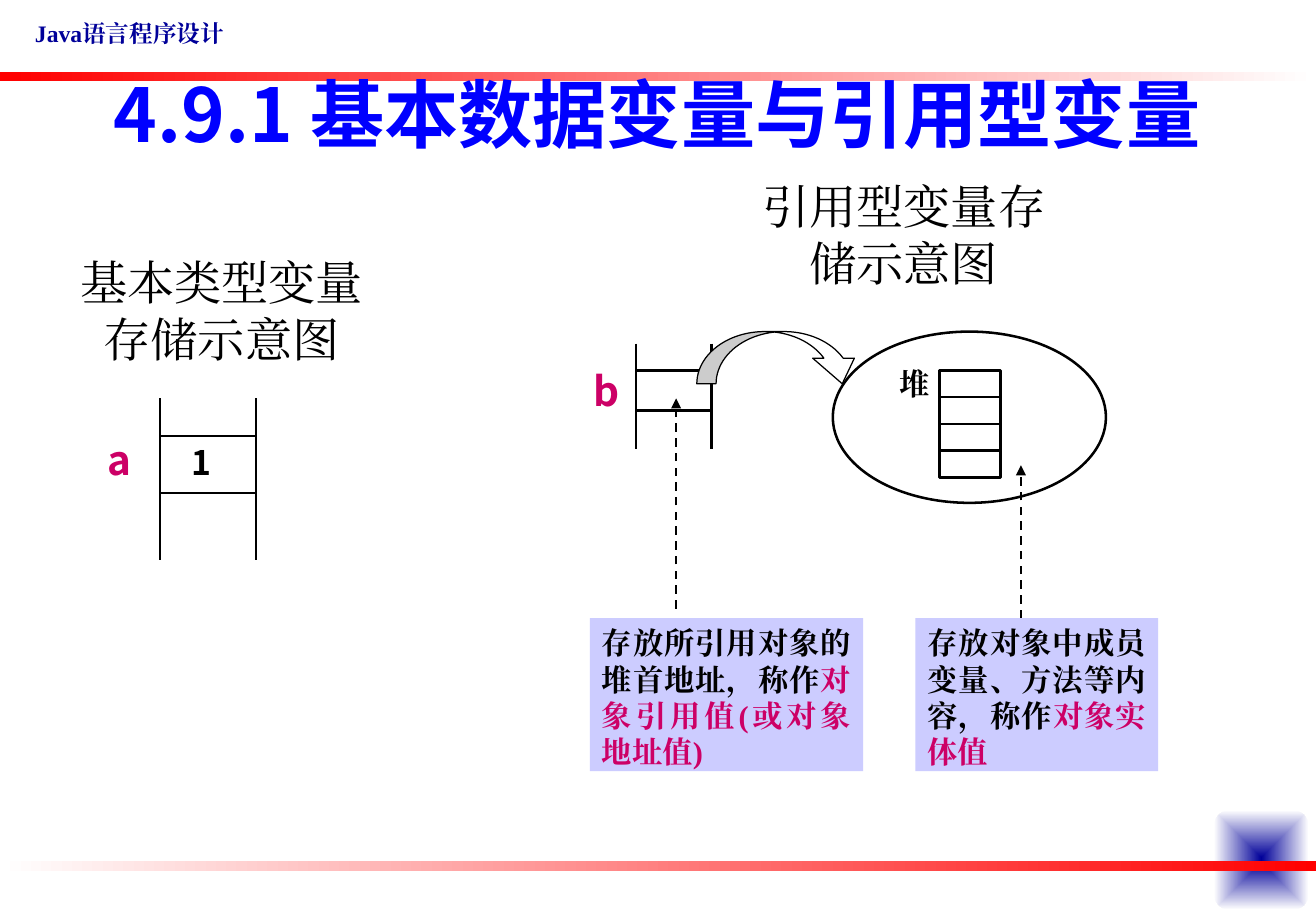
from dataclasses import dataclass

from lxml.etree import SubElement
from pptx import Presentation
from pptx.dml.color import RGBColor as Rgb
from pptx.enum.dml import MSO_LINE_DASH_STYLE as Dash
from pptx.enum.shapes import MSO_CONNECTOR as Conn, MSO_SHAPE as Kind
from pptx.enum.text import MSO_ANCHOR as Anchor, PP_ALIGN as Align
from pptx.oxml.ns import qn
from pptx.util import Emu, Pt

SCALE = 9144  # EMU per px, at 100 px to the inch


def px(n):
    return Emu(n * SCALE)


@dataclass(frozen=True)
class Theme:
    ink: str = "000000"
    paper: str = "FFFFFF"
    navy: str = "000099"
    blue: str = "0000FF"
    pink: str = "CC0066"
    red: str = "FF0000"
    lilac: str = "CCCCFF"
    serif: str = "Times New Roman"
    sans: str = "Noto Sans CJK SC"
    title: int = 44
    head: int = 28
    name: int = 24
    value: int = 20
    note: int = 18
    brand: int = 14
    thick: float = 1.5
    dashed: float = 1.25
    thin: float = 0.75


class Board:
    def __init__(self, slide, theme):
        self.slide = slide
        self.theme = theme

    def shape(self, kind, box, fill=None, line=None, width=None):
        item = self.slide.shapes.add_shape(kind, *map(px, box))
        item.shadow.inherit = False
        if fill:
            item.fill.solid()
            item.fill.fore_color.rgb = Rgb.from_string(fill)
        if line:
            item.line.color.rgb = Rgb.from_string(line)
            item.line.width = Pt(width)
        else:
            item.line.fill.background()
        return item

    def fade(self, kind, box, start, end, centre=False):
        """Shape with a two-colour gradient, left to right or from its centre."""
        item = self.shape(kind, box)
        item.fill.gradient()
        item.fill.gradient_angle = 0
        for stop, tint, place in zip(item.fill.gradient_stops, (start, end), (0, 1)):
            stop.color.rgb = Rgb.from_string(tint)
            stop.position = place
        if centre:
            grad = item._element.spPr.find(qn("a:gradFill"))
            grad.remove(grad.find(qn("a:lin")))
            core = SubElement(grad, qn("a:path"), {"path": "rect"})
            sides = dict.fromkeys("ltrb", "50000")
            SubElement(core, qn("a:fillToRect"), sides)
        return item

    def label(self, item, runs, size, font, bold=True, align=Align.LEFT,
              anchor=Anchor.TOP):
        """Fill a shape with one paragraph made of (text, colour) runs."""
        frame = item.text_frame
        frame.word_wrap = True
        frame.vertical_anchor = anchor
        para = frame.paragraphs[0]
        para.alignment = align
        for words, tint in runs:
            run = para.add_run()
            run.text = words
            run.font.size = Pt(size)
            run.font.bold = bold
            run.font.name = font
            run.font.color.rgb = Rgb.from_string(tint)
            SubElement(run.font._element, qn("a:ea"), {"typeface": font})

    def text(self, box, words, tint, size, font, **style):
        item = self.slide.shapes.add_textbox(*map(px, box))
        self.label(item, [(words, tint)], size, font, **style)

    def head(self, left, top, words):
        t = self.theme
        self.text((left, top, 291, 104), words, t.ink, t.head, t.serif,
                  bold=False, align=Align.CENTER)

    def note(self, box, plain, key):
        t = self.theme
        item = self.shape(Kind.RECTANGLE, box, t.lilac)
        self.label(item, [(plain, t.ink), (key, t.pink)], t.note, t.serif,
                   align=Align.JUSTIFY)

    def line(self, x1, y1, x2, y2, arrow=False):
        t = self.theme
        item = self.slide.shapes.add_connector(
            Conn.STRAIGHT, *map(px, (x1, y1, x2, y2)))
        item.line.color.rgb = Rgb.from_string(t.ink)
        item.line.width = Pt(t.dashed if arrow else t.thick)
        if arrow:
            item.line.dash_style = Dash.DASH
            edge = item._element.spPr.find(qn("a:ln"))
            SubElement(edge, qn("a:tailEnd"), {"type": "triangle"})
        SubElement(item._element.spPr, qn("a:effectLst"))

    def stack(self, left, right, top, base, rungs):
        """Two uprights joined by rungs: a slot in stack memory."""
        for x in (left, right):
            self.line(x, top, x, base)
        for y in rungs:
            self.line(left, y, right, y)


def frame(board):
    t = board.theme
    block = board.fade(Kind.ROUNDED_RECTANGLE, (1000, 667, 78, 82),
                       t.navy, t.paper, centre=True)
    block.adjustments[0] = 0.17
    board.text((19, 11, 220, 34), "Java语言程序设计", t.navy, t.brand, t.serif)
    board.fade(Kind.RECTANGLE, (0, 59, 1084, 8), t.red, t.paper)
    board.fade(Kind.RECTANGLE, (0, 709, 1084, 8), t.paper, t.red)
    board.text((54, 30, 975, 125), "4.9.1 基本数据变量与引用型变量", t.blue,
               t.title, t.sans, align=Align.CENTER, anchor=Anchor.MIDDLE)


def basic(board):
    t = board.theme
    board.head(37, 204, "基本类型变量存储示意图")
    board.stack(132, 211, 328, 461, (359, 406))
    board.text((79, 353, 37, 45), "a", t.pink, t.name, t.sans)
    board.text((148, 359, 37, 45), "1", t.ink, t.value, t.sans)


def refer(board):
    t = board.theme
    edge = (t.paper, t.ink, t.thick)
    board.head(599, 141, "引用型变量存储示意图")
    board.stack(524, 586, 283, 370, (305, 338))
    board.text((479, 296, 37, 45), "b", t.pink, t.name, t.sans)

    board.shape(Kind.OVAL, (686, 273, 225, 141), *edge)
    board.text((731, 296, 50, 43), "堆", t.ink, t.note, t.serif,
               align=Align.JUSTIFY)
    for row in range(4):
        board.shape(Kind.RECTANGLE, (774, 305 + 22 * row, 50, 22), *edge)

    bend = board.shape(Kind.CURVED_DOWN_ARROW, (574, 273, 137, 43),
                       t.paper, t.ink, t.thin)
    for i, value in enumerate((0.37, 0.8, 0.49)):
        bend.adjustments[i] = value

    board.line(557, 501, 557, 328, arrow=True)
    board.note((486, 509, 225, 126), "存放所引用对象的堆首地址，称作",
               "对象引用值(或对象地址值)")
    board.line(841, 509, 841, 383, arrow=True)
    board.note((754, 509, 200, 126), "存放对象中成员变量、方法等内容，称作",
               "对象实体值")


def main():
    deck = Presentation()
    deck.slide_width, deck.slide_height = px(1084), px(750)
    board = Board(deck.slides.add_slide(deck.slide_layouts[6]), Theme())
    frame(board)
    basic(board)
    refer(board)
    deck.save("out.pptx")


if __name__ == "__main__":
    main()
